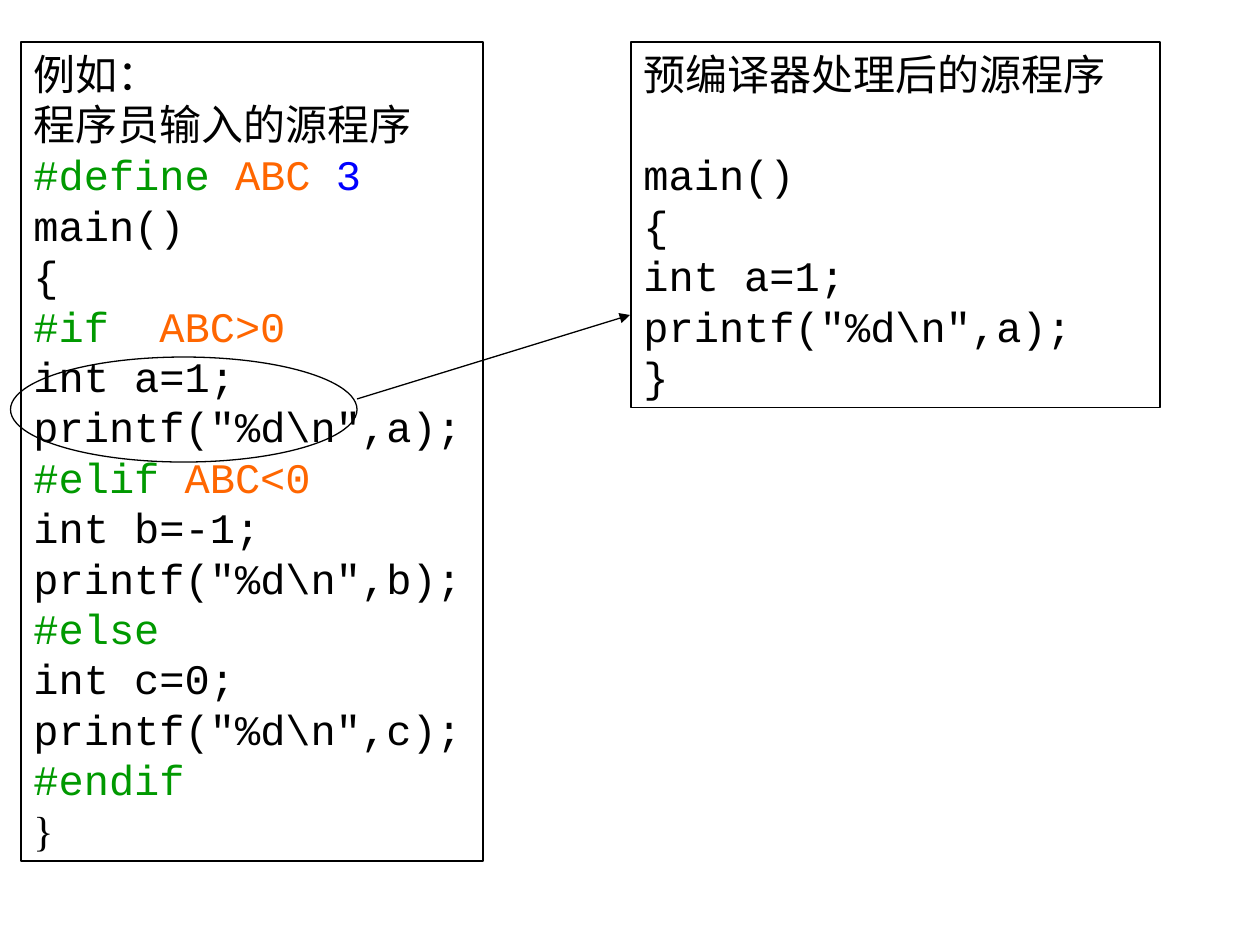
"""Build a slide comparing C source before and after preprocessing."""
from dataclasses import dataclass
from typing import NamedTuple

from lxml.etree import SubElement
from pptx import Presentation
from pptx.dml.color import RGBColor
from pptx.enum.shapes import MSO_CONNECTOR, MSO_SHAPE
from pptx.enum.text import MSO_ANCHOR, MSO_AUTO_SIZE, PP_ALIGN
from pptx.oxml.ns import qn
from pptx.util import Pt

PX = 7620
BLACK = RGBColor(0x00, 0x00, 0x00)
GREEN = RGBColor(0x00, 0x99, 0x00)
ORANGE = RGBColor(0xFF, 0x66, 0x00)
BLUE = RGBColor(0x00, 0x00, 0xFF)
SERIF = "Times New Roman"
MONO = "Courier New"
LINE_PITCH = Pt(28.8)


class Box(NamedTuple):
    left: int
    top: int
    width: int
    height: int

    def emu(self) -> list[int]:
        return [v * PX for v in self]


class Run(NamedTuple):
    text: str
    color: RGBColor = BLACK


@dataclass
class Line:
    runs: list[Run]
    font: str = MONO
    gap: int = 0


@dataclass
class Panel:
    box: Box
    lines: list[Line]


def prose(text: str) -> Line:
    return Line([Run(text)], SERIF)


def code(text: str, color: RGBColor = BLACK, gap: int = 0) -> Line:
    return Line([Run(text, color)], gap=gap)


def directive(*parts: tuple[str, RGBColor]) -> Line:
    return Line([Run(*part) for part in parts])


SOURCE = Panel(Box(20, 40, 440, 780), [
    prose("例如："),
    prose("程序员输入的源程序"),
    directive(("#define ", GREEN), ("ABC ", ORANGE), ("3", BLUE)),
    code("main()"),
    code("{"),
    directive(("#if  ", GREEN), ("ABC>0", ORANGE)),
    code("int a=1;"),
    code('printf("%d\\n",a);'),
    directive(("#elif ", GREEN), ("ABC<0", ORANGE)),
    code("int b=-1;"),
    code('printf("%d\\n",b);'),
    code("#else", GREEN),
    code("int c=0;"),
    code('printf("%d\\n",c);'),
    code("#endif", GREEN),
    prose("}"),
])
RESULT = Panel(Box(601, 40, 504, 348), [
    prose("预编译器处理后的源程序"),
    code("main()", gap=LINE_PITCH),
    code("{"),
    code("int a=1;"),
    code('printf("%d\\n",a);'),
    code("}"),
])


def add_outline(s, kind: MSO_SHAPE, box: Box):
    """Add an unfilled shape with a thin black outline."""
    sp = s.shapes.add_shape(kind, *box.emu())
    sp.shadow.inherit = False
    sp.fill.background()
    sp.line.color.rgb = BLACK
    sp.line.width = Pt(0.75)
    return sp


def add_panel(s, panel: Panel) -> None:
    """Add a framed listing, run by run."""
    tf = add_outline(s, MSO_SHAPE.RECTANGLE, panel.box).text_frame
    tf.word_wrap = True
    tf.auto_size = MSO_AUTO_SIZE.SHAPE_TO_FIT_TEXT
    tf.vertical_anchor = MSO_ANCHOR.TOP
    for i, line in enumerate(panel.lines):
        p = tf.add_paragraph() if i else tf.paragraphs[0]
        p.alignment = PP_ALIGN.LEFT
        p.line_spacing = LINE_PITCH
        if line.gap:
            p.space_before = line.gap
        for run in line.runs:
            r = p.add_run()
            r.text = run.text
            r.font.name = line.font
            r.font.size = Pt(24)
            r.font.color.rgb = run.color


def add_arrow(s, x1: int, y1: int, x2: int, y2: int) -> None:
    """Add a thin black arrow pointing at its second end."""
    cxn = s.shapes.add_connector(
        MSO_CONNECTOR.STRAIGHT, *(v * PX for v in (x1, y1, x2, y2)))
    cxn.line.color.rgb = BLACK
    cxn.line.width = Pt(0.75)
    SubElement(cxn.line._get_or_add_ln(), qn("a:tailEnd"), type="triangle")
    SubElement(cxn._element.spPr, qn("a:effectLst"))


def main() -> None:
    """Draw both listings, the kept lines and the arrow between them."""
    prs = Presentation()
    prs.slide_width, prs.slide_height = 1200 * PX, 900 * PX
    s = prs.slides.add_slide(prs.slide_layouts[6])
    for panel in (SOURCE, RESULT):
        add_panel(s, panel)
    add_outline(s, MSO_SHAPE.OVAL, Box(10, 340, 330, 100))
    add_arrow(s, 340, 380, 600, 300)
    prs.save("out.pptx")


if __name__ == "__main__":
    main()
